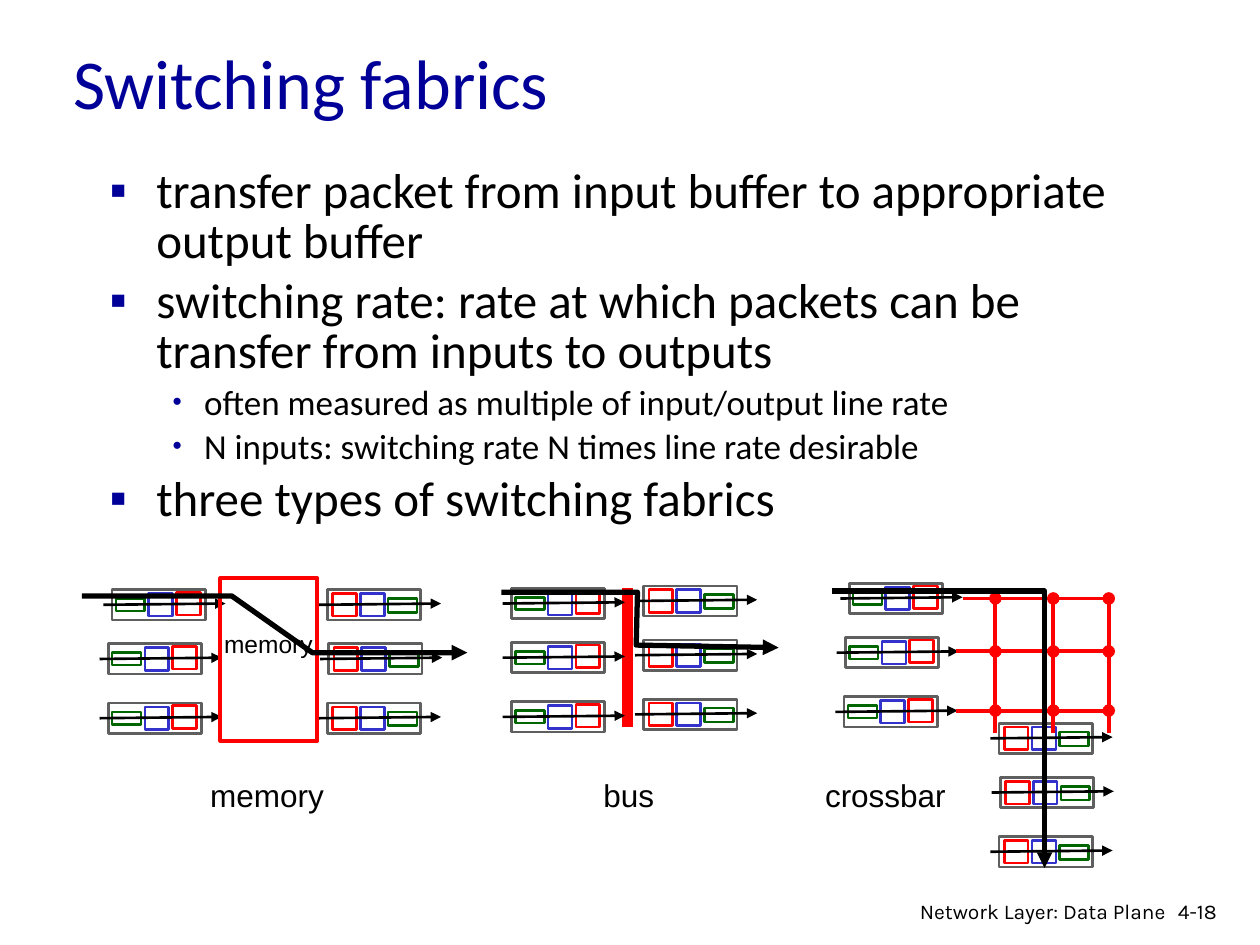
from lxml import etree
from pptx import Presentation
from pptx.dml.color import RGBColor
from pptx.enum.shapes import MSO_CONNECTOR, MSO_SHAPE
from pptx.enum.text import MSO_ANCHOR, MSO_AUTO_SIZE, PP_ALIGN
from pptx.oxml.ns import qn
from pptx.util import Inches, Pt

RECTANGLE, OVAL = MSO_SHAPE.RECTANGLE, MSO_SHAPE.OVAL
STRAIGHT = MSO_CONNECTOR.STRAIGHT
LEFT, RIGHT = PP_ALIGN.LEFT, PP_ALIGN.RIGHT
TOP, MIDDLE = MSO_ANCHOR.TOP, MSO_ANCHOR.MIDDLE
FIXED, GROW = MSO_AUTO_SIZE.NONE, MSO_AUTO_SIZE.SHAPE_TO_FIT_TEXT

NAVY, BLACK, WHITE, RED = "000099", "000000", "FFFFFF", "FF0000"
GREEN, BLUE, GRAY = "006600", "3333CC", "5F5F5F"

TITLE = "Switching fabrics"
BULLETS = [
    (0, "transfer packet from input buffer to appropriate output buffer"),
    (0, "switching rate: rate at which packets can be transfer from inputs to outputs"),
    (1, "often measured as multiple of input/output line rate"),
    (1, "N inputs: switching rate N times line rate desirable"),
    (0, "three types of switching fabrics"),
]
LEVELS = [
    dict(size=28, before=5.6, margin=0.37, indent=-0.37, bullet="▪", percent=100),
    dict(size=20, before=4.8, margin=0.75, indent=-0.25, bullet="•", percent=75),
]

# Text, box, size, font, alignment, wrap
LABELS = [
    ("memory", (1.57, 6.11, 1.1, 0.4), 18, "Arial", LEFT, False),
    ("memory", (1.68, 4.94, 0.92, 0.33), 14, "Arial", LEFT, False),
    ("bus", (4.69, 6.11, 0.6, 0.4), 18, "Arial", LEFT, False),
    ("crossbar", (6.45, 6.11, 1.16, 0.4), 18, "Arial", LEFT, False),
    ("4-18", (9.25, 7.08, 0.61, 0.3), 12, "Karla", LEFT, True),
    ("Network Layer: Data Plane", (6.97, 7.08, 2.38, 0.26), 12, "Karla", RIGHT, True),
]

# A port is a frame with three buffers: left, top, width, height within the frame
PORT_WIDTH, PORT_HEIGHT = 0.74, 0.24
INPUT = [(GREEN, 0.03, 0.07, 0.23, 0.1), (BLUE, 0.29, 0.03, 0.19, 0.18),
         (RED, 0.51, 0.02, 0.19, 0.18)]
OUTPUT = [(GREEN, 0.48, 0.07, 0.23, 0.11), (BLUE, 0.26, 0.03, 0.19, 0.18),
          (RED, 0.04, 0.03, 0.19, 0.18)]
ROW_OFFSETS = (0, 0.43, 0.9)

# Buffers, top of the first row, left of each row
PORT_COLUMNS = [
    (INPUT, 4.68, (0.89, 0.86, 0.86)),
    (OUTPUT, 4.68, (2.6, 2.61, 2.6)),
    (INPUT, 4.67, (4.06, 4.06, 4.06)),
    (OUTPUT, 4.65, (5.11, 5.11, 5.11)),
    (INPUT, 4.63, (6.74, 6.71, 6.7)),
    (OUTPUT, 5.74, (7.93, 7.94, 7.93)),
]
MEMORY_BOX = (1.75, 4.59, 0.77, 1.29)
BUS = (4.98, 4.67, 4.98, 5.77)
CROSSBAR_X, CROSSBAR_BOTTOM = (7.9, 8.36, 8.8), 5.82
CROSSBAR_ROWS = [(7.64, 4.75), (7.59, 5.17), (7.59, 5.64)]
NODE = 0.1
PACKET_PATHS = [
    [(0.65, 4.73), (1.84, 4.73), (2.48, 5.18), (3.71, 5.18)],
    [(3.98, 4.7), (5.06, 4.7), (5.05, 5.12), (6.18, 5.14)],
    [(6.6, 4.69), (8.29, 4.69), (8.29, 6.89)],
]


def rgb(color):
    return RGBColor.from_string(color)


def place(shape, box):
    for name, value in zip(("left", "top", "width", "height"), box):
        setattr(shape, name, Inches(value))


def write(paragraph, text, size, font, color):
    run = paragraph.add_run()
    run.text = text
    for name, value in dict(size=Pt(size), name=font, bold=False).items():
        setattr(run.font, name, value)
    run.font.color.rgb = rgb(color)


def set_line(shape, color, width, arrow=False):
    shape.line.color.rgb = rgb(color)
    shape.line.width = Pt(width)
    if arrow:
        line = shape.line._get_or_add_ln()
        etree.SubElement(line, qn("a:tailEnd"), type="triangle")


def add_line(shapes, ends, color, width, arrow=False):
    connector = shapes.add_connector(STRAIGHT, *map(Inches, ends))
    set_line(connector, color, width, arrow)
    etree.SubElement(connector._element.spPr, qn("a:effectLst"))


def add_block(shapes, kind, box, fill=None, line=None, width=1.5):
    shape = shapes.add_shape(kind, *map(Inches, box))
    shape.shadow.inherit = False
    if fill:
        shape.fill.solid()
        shape.fill.fore_color.rgb = rgb(fill)
    else:
        shape.fill.background()
    if line:
        set_line(shape, line, width)
    else:
        shape.line.fill.background()


def add_port(slide, left, top, buffers):
    shapes = slide.shapes.add_group_shape().shapes
    add_block(shapes, RECTANGLE, (left, top, PORT_WIDTH, PORT_HEIGHT), WHITE, GRAY)
    for color, x, y, width, height in buffers:
        add_block(shapes, RECTANGLE, (left + x, top + y, width, height), WHITE, color)
    ends = (left - 0.07, top + 0.12, left + 0.9, top + 0.11)
    add_line(shapes, ends, BLACK, 1.5, arrow=True)


def add_bullet(paragraph, level):
    properties = paragraph._p.get_or_add_pPr()
    properties.set("marL", str(Inches(level["margin"])))
    properties.set("indent", str(Inches(level["indent"])))
    color = etree.SubElement(properties, qn("a:buClr"))
    etree.SubElement(color, qn("a:srgbClr"), val=NAVY)
    etree.SubElement(properties, qn("a:buSzPct"), val=str(level["percent"] * 1000))
    etree.SubElement(properties, qn("a:buFont"), typeface="Arial")
    etree.SubElement(properties, qn("a:buChar"), char=level["bullet"])


def add_text(slide):
    title, body = slide.placeholders
    place(title, (0.48, 0.27, 8.5, 0.75))
    place(body, (0.77, 1.29, 8.5, 5.08))
    for shape, anchor in ((title, MIDDLE), (body, TOP)):
        shape.text_frame.auto_size = FIXED
        shape.text_frame.vertical_anchor = anchor
    heading = title.text_frame.paragraphs[0]
    heading.alignment = LEFT
    write(heading, TITLE, 40, "Calibri", NAVY)

    for index, (depth, text) in enumerate(BULLETS):
        frame = body.text_frame
        paragraph = frame.add_paragraph() if index else frame.paragraphs[0]
        level = LEVELS[depth]
        add_bullet(paragraph, level)
        paragraph.level = depth
        paragraph.line_spacing = 0.85
        paragraph.space_before = Pt(level["before"] if index else 0)
        write(paragraph, text, level["size"], "Calibri", BLACK)


def add_crossbar(shapes):
    top = CROSSBAR_ROWS[0][1]
    for left, y in CROSSBAR_ROWS:
        add_line(shapes, (left, y, CROSSBAR_X[-1], y), RED, 2.25)
    for x in CROSSBAR_X:
        add_line(shapes, (x, CROSSBAR_BOTTOM, x, top), RED, 2.25)
        for _, y in CROSSBAR_ROWS:
            add_block(shapes, OVAL, (x - NODE / 2, y - NODE / 2, NODE, NODE), RED)


def add_packet_path(shapes, points):
    start, *rest = [(Inches(x), Inches(y)) for x, y in points]
    builder = shapes.build_freeform(*start)
    builder.add_line_segments(rest, close=False)
    shape = builder.convert_to_shape()
    shape.shadow.inherit = False
    shape.fill.background()
    set_line(shape, BLACK, 3, arrow=True)


def add_label(shapes, text, box, size, font, alignment, wrap):
    frame = shapes.add_textbox(*map(Inches, box)).text_frame
    frame.word_wrap = wrap
    frame.auto_size = FIXED if wrap else GROW
    frame.paragraphs[0].alignment = alignment
    write(frame.paragraphs[0], text, size, font, BLACK)


def main():
    presentation = Presentation()
    presentation.slide_width, presentation.slide_height = Inches(10), Inches(7.5)
    slide = presentation.slides.add_slide(presentation.slide_layouts[1])
    shapes = slide.shapes
    add_text(slide)
    add_line(shapes, BUS, RED, 6)
    for buffers, top, lefts in PORT_COLUMNS:
        for left, offset in zip(lefts, ROW_OFFSETS):
            add_port(slide, left, top + offset, buffers)
    add_block(shapes, RECTANGLE, MEMORY_BOX, line=RED, width=2.25)
    add_crossbar(shapes)
    for label in LABELS:
        add_label(shapes, *label)
    for points in PACKET_PATHS:
        add_packet_path(shapes, points)
    presentation.save("out.pptx")


if __name__ == "__main__":
    main()
